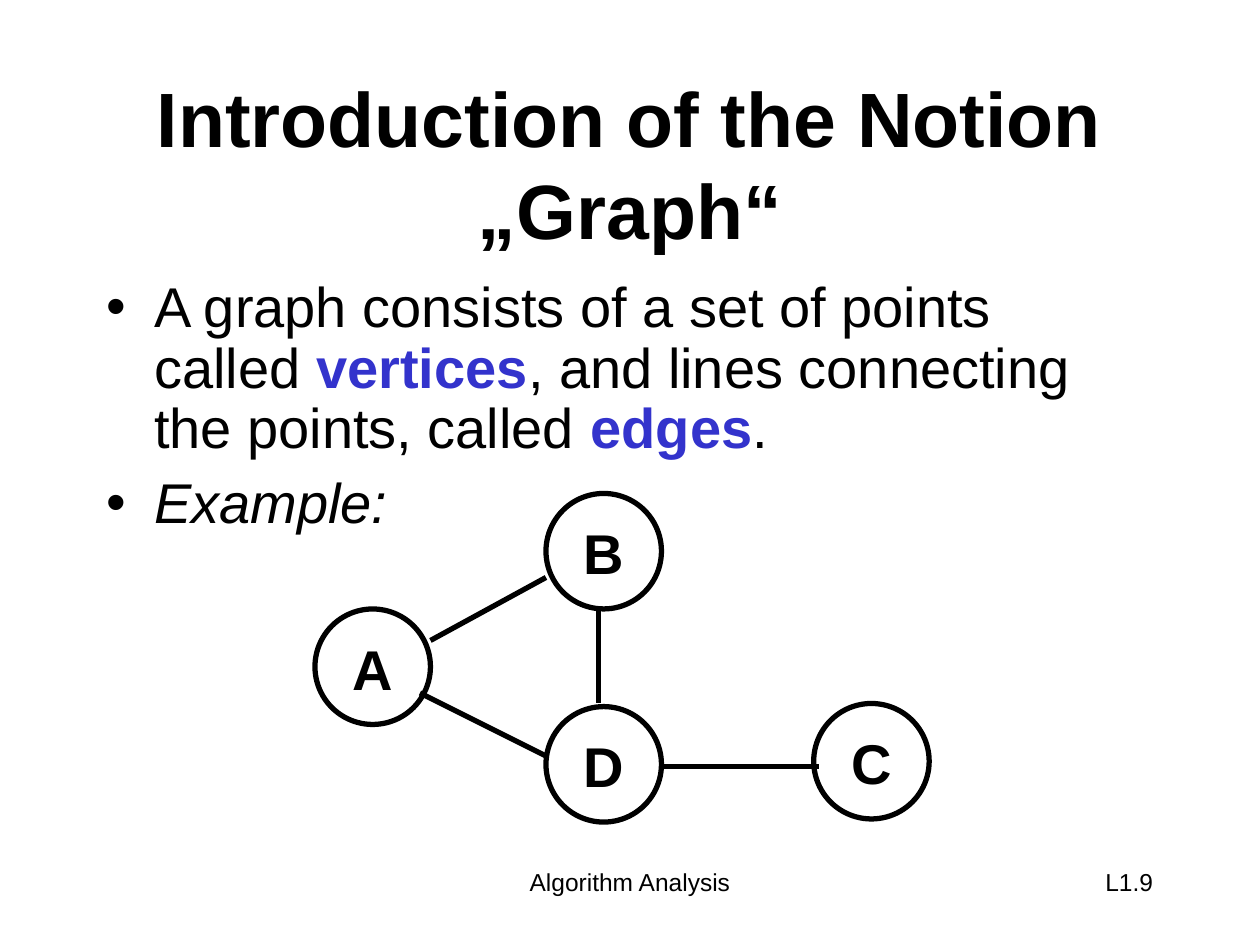
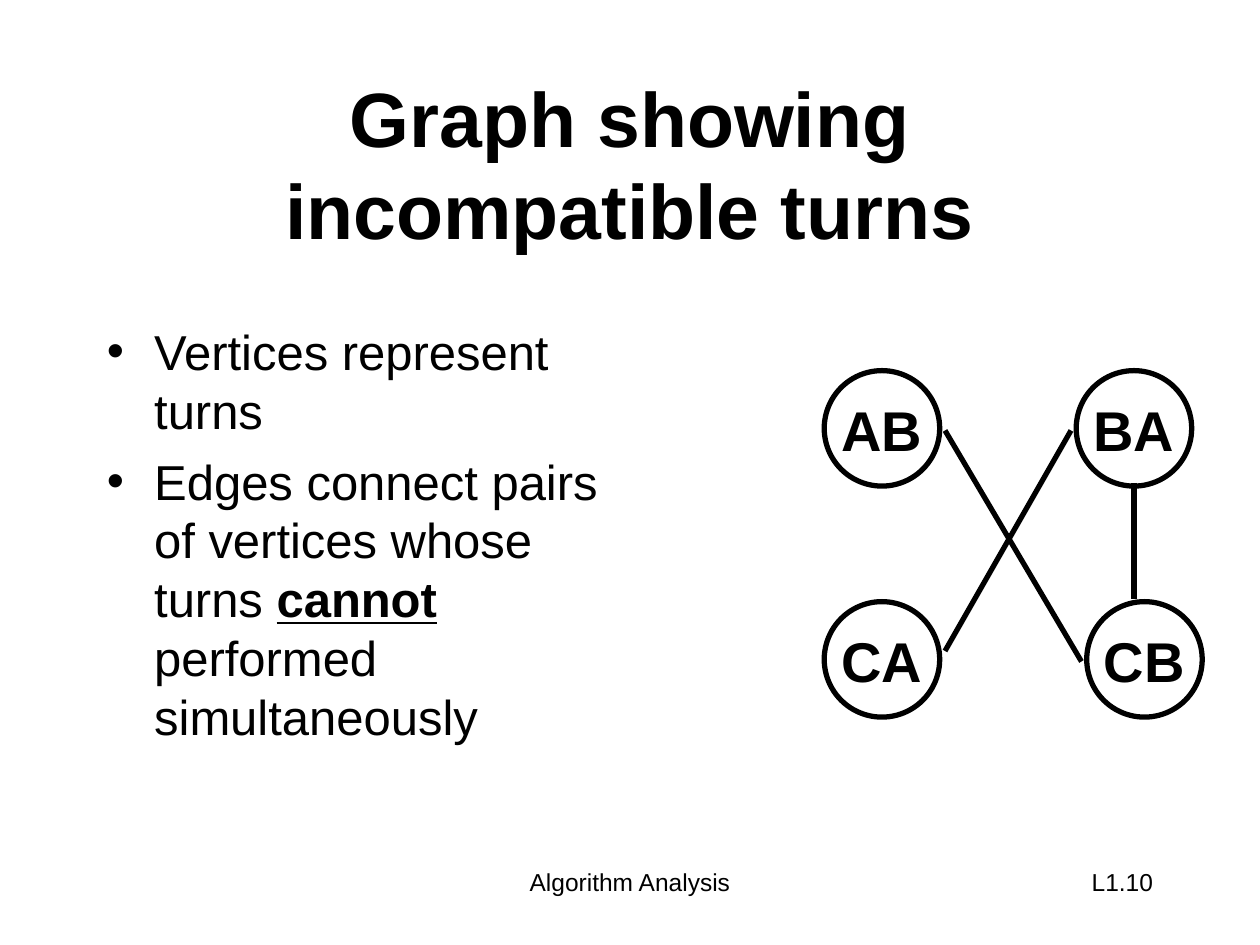
from dataclasses import dataclass

from lxml.etree import SubElement
from pptx import Presentation
from pptx.dml.color import RGBColor as Color
from pptx.enum.shapes import MSO_CONNECTOR as Connector, MSO_SHAPE as Shape
from pptx.enum.text import MSO_ANCHOR as Anchor, PP_ALIGN as Align
from pptx.oxml.ns import qn
from pptx.util import Emu, Pt

EMU_PER_PX = 7620


def px(length):
    return Emu(length * EMU_PER_PX)


@dataclass(frozen=True)
class Theme:
    font: str = "Arial"
    ink: Color = Color(0x00, 0x00, 0x00)
    paper: Color = Color(0xFF, 0xFF, 0xFF)
    accent: Color = Color(0x33, 0x33, 0xCC)
    title_size: int = 44
    node_size: int = 32
    footer_size: int = 14
    line_width: int = 3
    node_diameter: int = 110
    bullet_indent: int = 45


class SlideBuilder:
    def __init__(self, deck, theme):
        self.deck = deck
        self.theme = theme
        self.slide = None

    def new_slide(self, title, number):
        self.slide = self.deck.slides.add_slide(self.deck.slide_layouts[6])
        background = self.slide.background.fill
        background.solid()
        background.fore_color.rgb = self.theme.paper
        self.label("Algorithm Analysis", (410, 820, 380, 60), self.theme.footer_size)
        self.label(number, (860, 820, 250, 60), self.theme.footer_size, Align.RIGHT)
        self.label(title, (90, 80, 1020, 150), self.theme.title_size,
                   bold=True, anchor=Anchor.MIDDLE)

    def text_frame(self, place):
        frame = self.slide.shapes.add_textbox(*map(px, place)).text_frame
        frame.word_wrap = True
        return frame

    def format_span(self, span, size, style=""):
        font = span.font
        font.name = self.theme.font
        font.size = Pt(size)
        font.bold = style in ("bold", "term", "stress")
        font.italic = style == "italic"
        font.underline = style == "stress"
        font.color.rgb = self.theme.accent if style == "term" else self.theme.ink

    def label(self, text, place, size, align=Align.CENTER, bold=False, anchor=Anchor.TOP):
        frame = self.text_frame(place)
        frame.text = text
        frame.vertical_anchor = anchor
        para = frame.paragraphs[0]
        para.alignment = align
        self.format_span(para.runs[0], size, "bold" if bold else "")

    def bullets(self, items, place, size, line_spacing=1.0):
        frame = self.text_frame(place)
        for index, spans in enumerate(items):
            para = frame.add_paragraph() if index else frame.paragraphs[0]
            para.line_spacing = line_spacing
            para.space_before = Pt(size // 4)
            self.add_bullet(para)
            for text, style in spans:
                span = para.add_run()
                span.text = text
                self.format_span(span, size, style)

    def add_bullet(self, para):
        properties = para._p.get_or_add_pPr()
        indent = px(self.theme.bullet_indent)
        properties.set("marL", str(indent))
        properties.set("indent", str(-indent))
        SubElement(properties, qn("a:buFont"), typeface=self.theme.font)
        SubElement(properties, qn("a:buChar"), char="•")

    def node(self, name, left, top):
        diameter = px(self.theme.node_diameter)
        circle = self.slide.shapes.add_shape(Shape.OVAL, px(left), px(top), diameter, diameter)
        circle.shadow.inherit = False
        circle.fill.solid()
        circle.fill.fore_color.rgb = self.theme.paper
        circle.line.color.rgb = self.theme.ink
        circle.line.width = Pt(self.theme.line_width)
        frame = circle.text_frame
        frame.text = name
        frame.word_wrap = False
        frame.vertical_anchor = Anchor.MIDDLE
        frame.margin_left = frame.margin_right = frame.margin_bottom = 0
        frame.margin_top = px(2)
        para = frame.paragraphs[0]
        para.alignment = Align.CENTER
        self.format_span(para.runs[0], self.theme.node_size, "bold")

    def edge(self, start, end):
        line = self.slide.shapes.add_connector(Connector.STRAIGHT, *map(px, start + end))
        line.line.color.rgb = self.theme.ink
        line.line.width = Pt(self.theme.line_width)
        SubElement(line._element.spPr, qn("a:effectLst"))

    def graph(self, nodes, edges):
        for name, (left, top) in nodes.items():
            self.node(name, left, top)
        for start, end in edges:
            self.edge(start, end)


def build_notion_slide(builder):
    builder.new_slide("Introduction of the Notion „Graph“", "L1.9")
    builder.bullets(
        [
            [("A graph consists of a set of points called ", ""), ("vertices", "term"),
             (", and lines connecting the points, called ", ""), ("edges", "term"), (".", "")],
            [("Example:", "italic")],
        ],
        (90, 260, 1020, 280), 32, line_spacing=0.9)
    builder.graph(
        {"A": (300, 580), "B": (520, 470), "D": (520, 673), "C": (775, 670)},
        [((410, 610), (520, 550)), ((400, 660), (520, 720)),
         ((630, 730), (780, 730)), ((570, 580), (570, 670))])


def build_turns_slide(builder):
    builder.new_slide("Graph showing incompatible turns", "L1.10")
    builder.bullets(
        [
            [("Vertices represent turns", "")],
            [("Edges connect pairs of vertices whose turns ", ""), ("cannot ", "stress"),
             ("performed simultaneously", "")],
        ],
        (90, 300, 500, 440), 28)
    upper, lower = 353, 573
    builder.graph(
        {"AB": (785, upper), "BA": (1025, upper), "CA": (785, lower), "CB": (1035, lower)},
        [((900, 410), (1030, 630)), ((1080, 460), (1080, 570)), ((900, 620), (1020, 410))])


def main():
    deck = Presentation()
    deck.slide_width, deck.slide_height = px(1200), px(900)
    builder = SlideBuilder(deck, Theme())
    build_notion_slide(builder)
    build_turns_slide(builder)
    deck.save("out.pptx")


if __name__ == "__main__":
    main()
